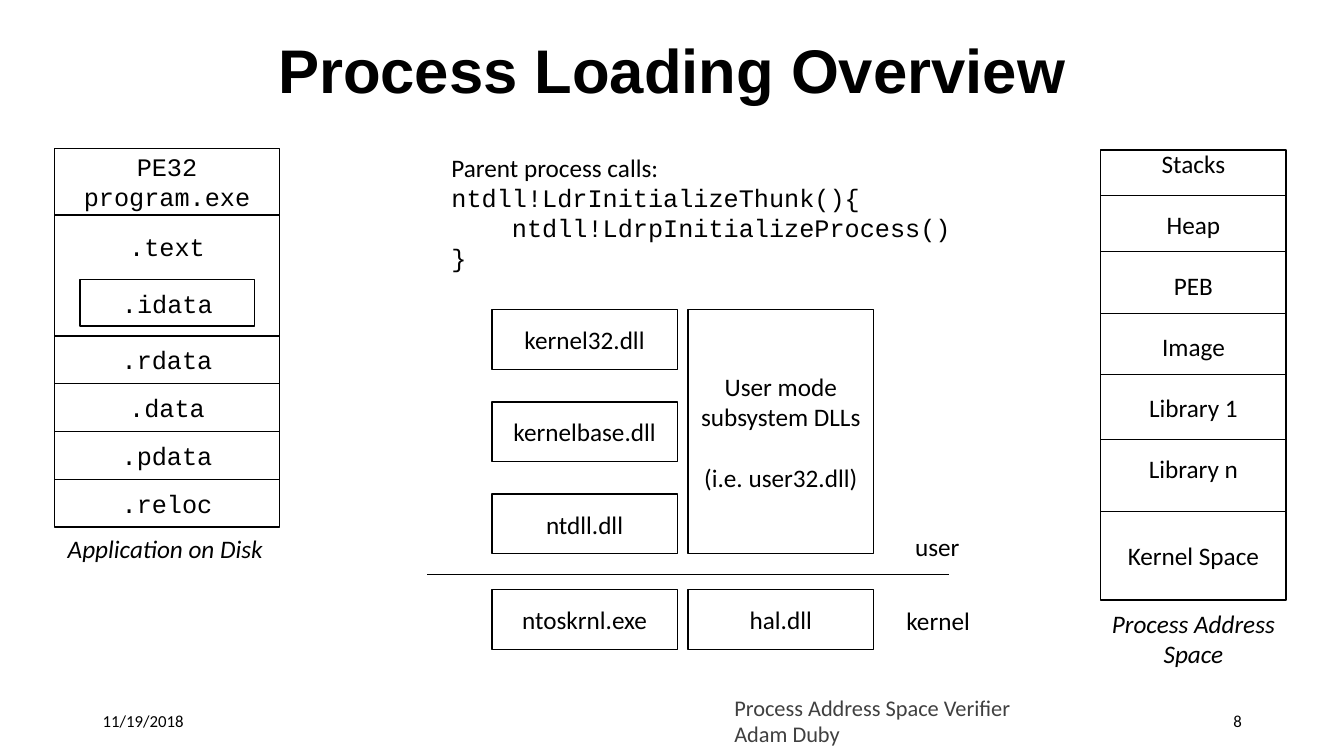
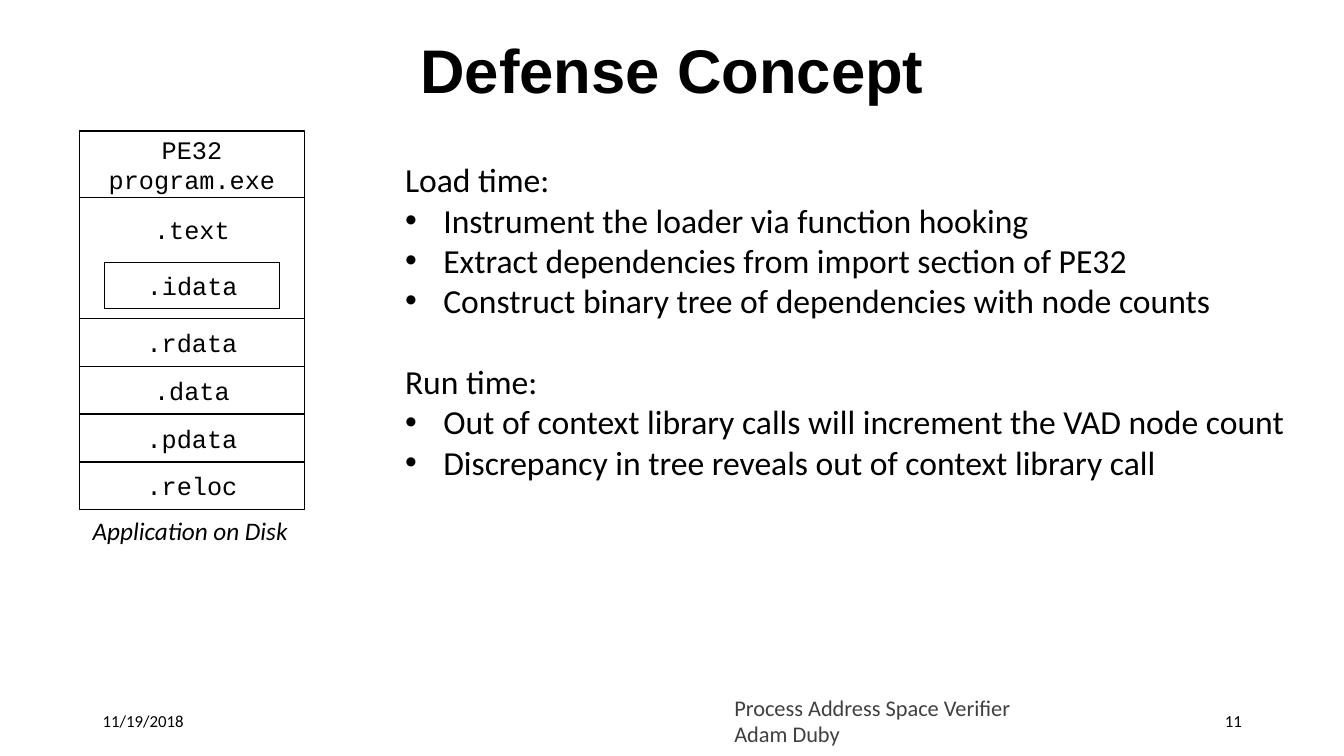
from lxml import etree
from pptx import Presentation
from pptx.dml.color import RGBColor
from pptx.enum.shapes import MSO_CONNECTOR, MSO_SHAPE
from pptx.enum.text import MSO_ANCHOR, MSO_AUTO_SIZE, PP_ALIGN
from pptx.oxml.ns import qn
from pptx.util import Inches, Pt

LEFT, CENTER, RIGHT = PP_ALIGN.LEFT, PP_ALIGN.CENTER, PP_ALIGN.RIGHT
TOP, MIDDLE = MSO_ANCHOR.TOP, MSO_ANCHOR.MIDDLE
RECTANGLE, STRAIGHT = MSO_SHAPE.RECTANGLE, MSO_CONNECTOR.STRAIGHT
COLORS = {"ink": "000000", "footer": "404040"}
HEADING, BODY, CODE = "Arial", "Calibri", "Courier New"

presentation = Presentation()
presentation.slide_width = Inches(13.33)
presentation.slide_height = Inches(7.5)

# The grid: 100 columns by 100 rows
COLUMN = presentation.slide_width / 100
ROW = presentation.slide_height / 100


def place(left, top, width, height):
    """Turn a grid area into slide lengths."""
    return [int(left * COLUMN), int(top * ROW), int(width * COLUMN), int(height * ROW)]


def write(shape, paragraphs, size=18, font=BODY, color="ink", bold=False, italic=False,
          align=LEFT, anchor=TOP, gap=0, spacing=None, bottom=0.05):
    """Fill a shape; a paragraph is a string or a (string, own format) pair."""
    frame = shape.text_frame
    frame.word_wrap = True
    frame.auto_size = MSO_AUTO_SIZE.NONE
    frame.vertical_anchor = anchor
    frame.margin_bottom = Inches(bottom)
    for index, entry in enumerate(paragraphs):
        text, own = (entry, {}) if isinstance(entry, str) else entry
        paragraph = frame.paragraphs[0] if index == 0 else frame.add_paragraph()
        paragraph.alignment = align
        paragraph.line_spacing = spacing
        paragraph.space_before = Pt(own.get("gap", gap) if index else 0)
        run = paragraph.add_run()
        run.text = text
        run.font.size = Pt(size)
        run.font.name = own.get("font", font)
        run.font.bold, run.font.italic = bold, italic
        run.font.color.rgb = RGBColor.from_string(COLORS[color])
        properties = paragraph._p.get_or_add_pPr()
        if "indent" in own:
            properties.set("marL", str(Inches(own["indent"])))
        if own.get("bullet"):
            properties.set("indent", str(-Inches(own["indent"])))
            etree.SubElement(properties, qn("a:buFont")).set("typeface", HEADING)
            etree.SubElement(properties, qn("a:buChar")).set("char", "•")


# Shared parts: title, date, number, footer and the program file on disk
slides = []
for title, number, file_left, file_top in [
    ("Process Loading Overview", "8", 4.05, 19.65),
    ("Defense Concept", "11", 5.9, 17.35),
]:
    slide = presentation.slides.add_slide(presentation.slide_layouts[5])
    slides.append(slide)
    heading = slide.shapes.title
    heading.left, heading.top, heading.width, heading.height = place(6.9, 0, 86.25, 19.35)
    write(heading, [title], size=44, font=HEADING, bold=True, align=CENTER,
          anchor=MIDDLE, spacing=0.9)

    for text, left, align in [("11/19/2018", 6.9, LEFT), (number, 70.65, RIGHT)]:
        label = slide.shapes.add_textbox(*place(left, 92.65, 22.5, 5.3))
        write(label, [text], size=12, align=align, anchor=MIDDLE)
    footer = slide.shapes.add_textbox(*place(53.9, 91.1, 39.4, 8.5))
    write(footer, ["Process Address Space Verifier", "Adam Duby"], size=16, color="footer")

    sections = [(["PE32", "program.exe"], 0, 8.8, 0.05), ([".text"], 8.8, 16, 0.62)]
    for index, name in enumerate([".rdata", ".data", ".pdata", ".reloc"]):
        sections.append(([name], 24.8 + index * 6.32, 6.32, 0.05))
    areas = [(lines, 0, top, 16.75, height, bottom) for lines, top, height, bottom in sections]
    areas.append(([".idata"], 1.9, 17.35, 13, 6.15, 0.05))
    for lines, left, top, width, height, bottom in areas:
        section = slide.shapes.add_shape(
            RECTANGLE, *place(file_left + left, file_top + top, width, height))
        section.shadow.inherit = False
        section.fill.background()
        section.line.color.rgb = RGBColor.from_string(COLORS["ink"])
        section.line.width = Pt(1)
        write(section, lines, font=CODE, align=CENTER, anchor=MIDDLE, bottom=bottom)
    caption = slide.shapes.add_textbox(*place(file_left + 0.25, file_top + 50.2, 17.5, 5.3))
    write(caption, ["Application on Disk"], italic=True)

loading, defense = slides

# Process loading: modules and address space
MODULE_WIDTH, MODULE_HEIGHT, MODULE_STEP = 13.8, 7.9, 12.2
MODULE_LEFT, SYSTEM_LEFT, MODULE_TOP, KERNEL_TOP = 36.6, 51.2, 40.95, 78
SPACE_LEFT, SPACE_TOP, SPACE_HEIGHT = 81.9, 19.85, 47.8
boxes = [
    (["User mode subsystem DLLs", "(i.e. user32.dll)"], SYSTEM_LEFT, MODULE_TOP,
     2 * MODULE_STEP + MODULE_HEIGHT, 22, 0.05),
    (["ntoskrnl.exe"], MODULE_LEFT, KERNEL_TOP, MODULE_HEIGHT, 0, 0.05),
    (["hal.dll"], SYSTEM_LEFT, KERNEL_TOP, MODULE_HEIGHT, 0, 0.05),
    (["Stacks", "Heap", "PEB", "Image", "Library 1", "Library n"],
     SPACE_LEFT, SPACE_TOP, SPACE_HEIGHT, 22, 0.35),
    (["Kernel Space"], SPACE_LEFT, SPACE_TOP + SPACE_HEIGHT, 11.75, 0, 0.05),
]
for index, name in enumerate(["kernel32.dll", "kernelbase.dll", "ntdll.dll"]):
    boxes.append(([name], MODULE_LEFT, MODULE_TOP + index * MODULE_STEP, MODULE_HEIGHT, 0, 0.05))
for lines, left, top, height, gap, bottom in boxes:
    box = loading.shapes.add_shape(RECTANGLE, *place(left, top, MODULE_WIDTH, height))
    box.shadow.inherit = False
    box.fill.background()
    box.line.color.rgb = RGBColor.from_string(COLORS["ink"])
    box.line.width = Pt(1)
    write(box, lines, align=CENTER, anchor=MIDDLE, gap=gap, bottom=bottom)

# Dividers of the address space, and the line between user and kernel
dividers = [(SPACE_LEFT, MODULE_WIDTH, top) for top in (25.9, 33.3, 41.5, 49.5, 58.1)]
for left, width, top in dividers + [(31.8, 38.8, 76)]:
    x, y, length, _ = place(left, top, width, 0)
    divider = loading.shapes.add_connector(STRAIGHT, x, y, x + length, y)
    divider.line.color.rgb = RGBColor.from_string(COLORS["ink"])
    divider.line.width = Pt(0.5)
    etree.SubElement(divider._element.spPr, qn("a:effectLst"))

for text, left, top in [("user", 67.35, 69.6), ("kernel", 66.7, 79.35)]:
    mode = loading.shapes.add_textbox(*place(left, top, 8, 5.3))
    write(mode, [text])
space_caption = loading.shapes.add_textbox(*place(81.6, 79.75, 14.4, 9.4))
write(space_caption, ["Process Address", "Space"], italic=True, align=CENTER)
calls = loading.shapes.add_textbox(*place(32.85, 19.45, 40, 17.5))
write(calls, [
    ("Parent process calls:", {"font": BODY}),
    "ntdll!LdrInitializeThunk(){",
    ("ntdll!LdrpInitializeProcess()", {"indent": 0.6}),
    "}",
], font=CODE)

# Defense concept: two bulleted lists
BULLET = {"bullet": True, "indent": 0.38}
concept = defense.shapes.add_textbox(*place(29.4, 20.4, 69, 44.4))
write(concept, [
    "Load time:",
    ("Instrument the loader via function hooking", BULLET),
    ("Extract dependencies from import section of PE32", BULLET),
    ("Construct binary tree of dependencies with node counts", BULLET),
    ("Run time:", {"gap": 29}),
    ("Out of context library calls will increment the VAD node count", BULLET),
    ("Discrepancy in tree reveals out of context library call", BULLET),
], size=24)

presentation.save("out.pptx")
